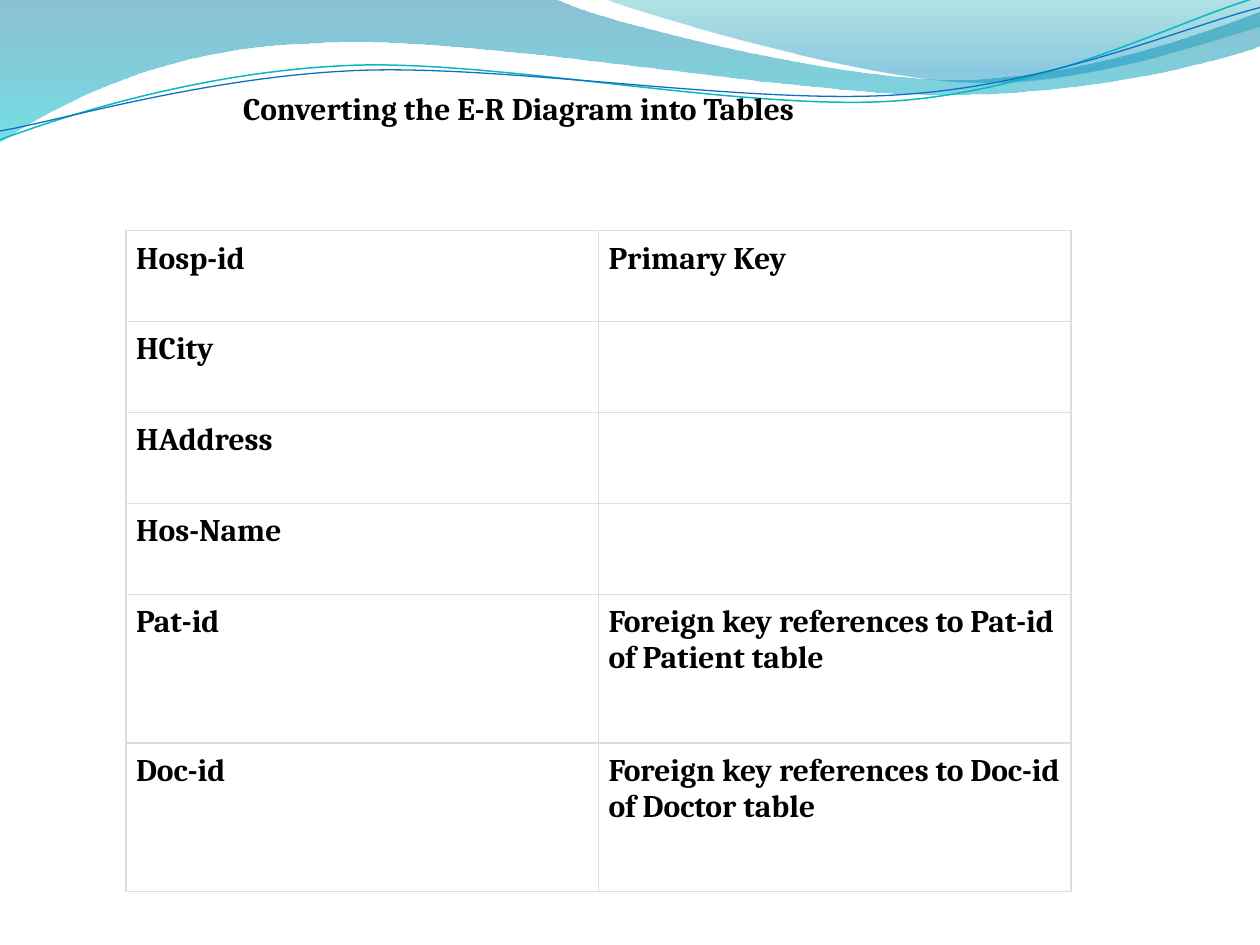
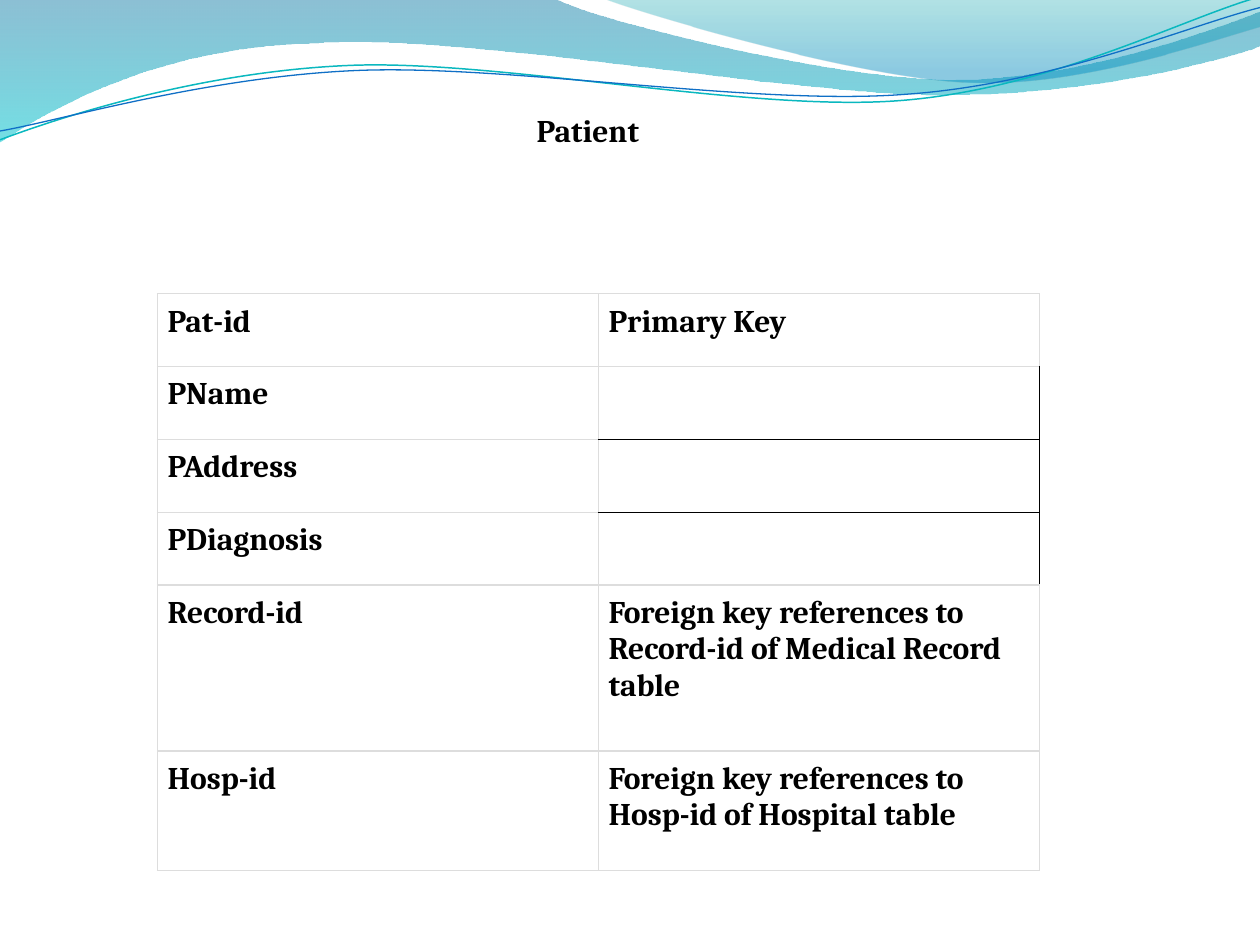
import lxml.etree
import pptx
import pptx.dml.color
import pptx.enum.text
import pptx.oxml.ns
import pptx.util

Inches = pptx.util.Inches
Pt = pptx.util.Pt
qn = pptx.oxml.ns.qn

FONT = "Cambria"
INK = "000000"
PAPER = "FFFFFF"
RULE = "DDDDDD"
RULE_WIDTH = Pt(0.75)
CELL_MARGIN = Inches(0.08)

BANDS = [
    ([(0, 0), (4.4, -0.01),
      (4.76, 0.17, 6.64, 0.63, 7.58, 0.63), (8.53, 0.63, 9.58, 0.26, 10, 0.09),
      (10.01, 0.36),
      (9.83, 0.44, 8.7, 0.76, 7.46, 0.75), (6.22, 0.75, 3.82, 0.28, 2.57, 0.34),
      (1.29, 0.36, 0.46, 0.83, -0.01, 1.13), (0, 0)],
     [(0, "0074A1", 45), (1, "00C6CF", 55)]),
    ([(4.79, -0.01),
      (5.09, 0.11, 6.82, 0.62, 7.69, 0.65), (8.56, 0.69, 9.61, 0.32, 10, 0.21),
      (10, 0), (4.79, -0.01)],
     [(0, "00A1A9", 30), (0.8, "008BBF", 45)]),
]
STRANDS = [
    ([(0, 1.11),
      (0.48, 0.93, 1.58, 0.57, 2.77, 0.52), (3.95, 0.47, 5.93, 0.89, 7.13, 0.8),
      (8.33, 0.71, 9.38, 0.15, 9.98, -0.02)],
     "0AB8BF", 0.85),
    ([(0, 1.04),
      (0.47, 0.96, 1.64, 0.61, 2.83, 0.56), (4.03, 0.51, 5.97, 0.84, 7.17, 0.75),
      (8.36, 0.67, 9.41, 0.21, 10, 0.06)],
     "0F6FC6", 0.75),
]

HOSPITAL = [
    ("Hosp-id", "Primary Key"),
    ("HCity", ""),
    ("HAddress", ""),
    ("Hos-Name", ""),
    ("Pat-id", "Foreign key references to Pat-id of Patient table"),
    ("Doc-id", "Foreign key references to Doc-id of Doctor table"),
]
PATIENT = [
    ("Pat-id", "Primary Key"),
    ("PName", ""),
    ("PAddress", ""),
    ("PDiagnosis", ""),
    ("Record-id", "Foreign key references to Record-id of Medical Record table"),
    ("Hosp-id", "Foreign key references to Hosp-id of Hospital table"),
]


def color(hex_string):
    return pptx.dml.color.RGBColor.from_string(hex_string)


def add_run(paragraph, words):
    run = paragraph.add_run()
    run.text = words
    run.font.name = FONT
    run.font.size = Pt(18)
    run.font.bold = True
    run.font.color.rgb = color(INK)


def bend(wave, segments):
    steps = iter(list(wave.element.iter(qn("a:lnTo"))))
    for segment in segments:
        first = next(steps)
        if len(segment) == 2:
            continue
        first.tag_name = None
        curve = lxml.etree.Element(qn("a:cubicBezTo"))
        first.addprevious(curve)
        for step in (first, next(steps), next(steps)):
            curve.append(step[0])
            step.getparent().remove(step)


def draw_outline(slide, outline, close):
    points = [(Inches(x), Inches(y))
              for segment in outline for x, y in zip(segment[::2], segment[1::2])]
    builder = slide.shapes.build_freeform(*points[0])
    builder.add_line_segments(points[1:], close=close)
    wave = builder.convert_to_shape()
    bend(wave, outline[1:])
    wave.shadow.inherit = False
    return wave


def draw_band(slide, outline, stops):
    band = draw_outline(slide, outline, True)
    band.line.fill.background()
    band.fill.gradient()
    band.fill.gradient_angle = 270
    for stop, (position, tint, _) in zip(band.fill.gradient_stops, stops):
        stop.position = position
        stop.color.rgb = color(tint)
    tints = band.element.spPr.iter(qn("a:srgbClr"))
    for tint, (_, _, opacity) in zip(tints, stops):
        lxml.etree.SubElement(tint, qn("a:alpha")).set("val", str(opacity * 1000))
    return band


def draw_strand(slide, outline, tint, width):
    strand = draw_outline(slide, outline, False)
    strand.fill.background()
    strand.line.color.rgb = color(tint)
    strand.line.width = Pt(width)
    return strand


def add_waves_to_layout(slide):
    waves = [draw_band(slide, *band) for band in BANDS]
    waves += [draw_strand(slide, *strand) for strand in STRANDS]
    for number, wave in enumerate(waves, 101):
        wave.element.nvSpPr.cNvPr.set("id", str(number))
        slide.slide_layout.element.cSld.spTree.append(wave.element)


def place_title(slide, words, left, top, width, height, indent=0):
    title = slide.shapes.title
    title.left, title.top = Inches(left), Inches(top)
    title.width, title.height = Inches(width), Inches(height)
    frame = title.text_frame
    frame.word_wrap = True
    frame.auto_size = pptx.enum.text.MSO_AUTO_SIZE.NONE
    frame.vertical_anchor = pptx.enum.text.MSO_ANCHOR.TOP
    paragraph = frame.paragraphs[0]
    paragraph.alignment = pptx.enum.text.PP_ALIGN.LEFT
    add_run(paragraph, words)
    paragraph_properties = paragraph.runs[0].font._element.getparent().getparent().find(qn("a:pPr"))
    paragraph_properties.set("marL", str(Inches(indent)))


def rule_cell(cell, edges):
    properties = cell._tc.get_or_add_tcPr()
    for side in "LRTB":
        edge = lxml.etree.SubElement(properties, qn("a:ln" + side), w=str(RULE_WIDTH))
        fill = lxml.etree.SubElement(edge, qn("a:solidFill"))
        lxml.etree.SubElement(fill, qn("a:srgbClr"), val=edges.get(side, RULE))


def blank_edges(fields, row, blank_rule):
    edges = {"R": blank_rule}
    if not fields[row - 1][1]:
        edges["T"] = blank_rule
    if not fields[row + 1][1]:
        edges["B"] = blank_rule
    return edges


def place_fields(slide, fields, left, top, width, height, shares, blank_rule=RULE):
    grid = slide.shapes.add_table(
        len(fields), 2, Inches(left), Inches(top), Inches(width), Inches(height)).table
    grid.first_row = False
    grid.horz_banding = False
    for column in grid.columns:
        column.width = Inches(width / 2)
    for row, (field, share) in enumerate(zip(fields, shares)):
        grid.rows[row].height = Inches(height * share / sum(shares))
        for column, words in enumerate(field):
            cell = grid.cell(row, column)
            cell.margin_left = cell.margin_right = CELL_MARGIN
            cell.margin_top = cell.margin_bottom = CELL_MARGIN
            rule_cell(cell, {} if words else blank_edges(fields, row, blank_rule))
            cell.fill.solid()
            cell.fill.fore_color.rgb = color(PAPER)
            if words:
                add_run(cell.text_frame.paragraphs[0], words)


def main():
    deck = pptx.Presentation()
    deck.slide_width, deck.slide_height = Inches(10), Inches(7.5)
    title_only = deck.slide_layouts[5]

    hospital = deck.slides.add_slide(title_only)
    add_waves_to_layout(hospital)
    place_title(hospital, "Converting the E-R Diagram into Tables", 1.83, 0.66, 4.58, 1.01)
    place_fields(hospital, HOSPITAL, 1, 1.83, 7.5, 5.25, [0.72] * 4 + [1.18] * 2)

    patient = deck.slides.add_slide(title_only)
    place_title(patient, "Patient", 3.5, 0.83, 2.75, 0.4, indent=0.66)
    place_fields(patient, PATIENT, 1.25, 2.33, 7, 4.58, [0.58] * 4 + [1.32, 0.95], INK)

    deck.save("out.pptx")


if __name__ == "__main__":
    main()
